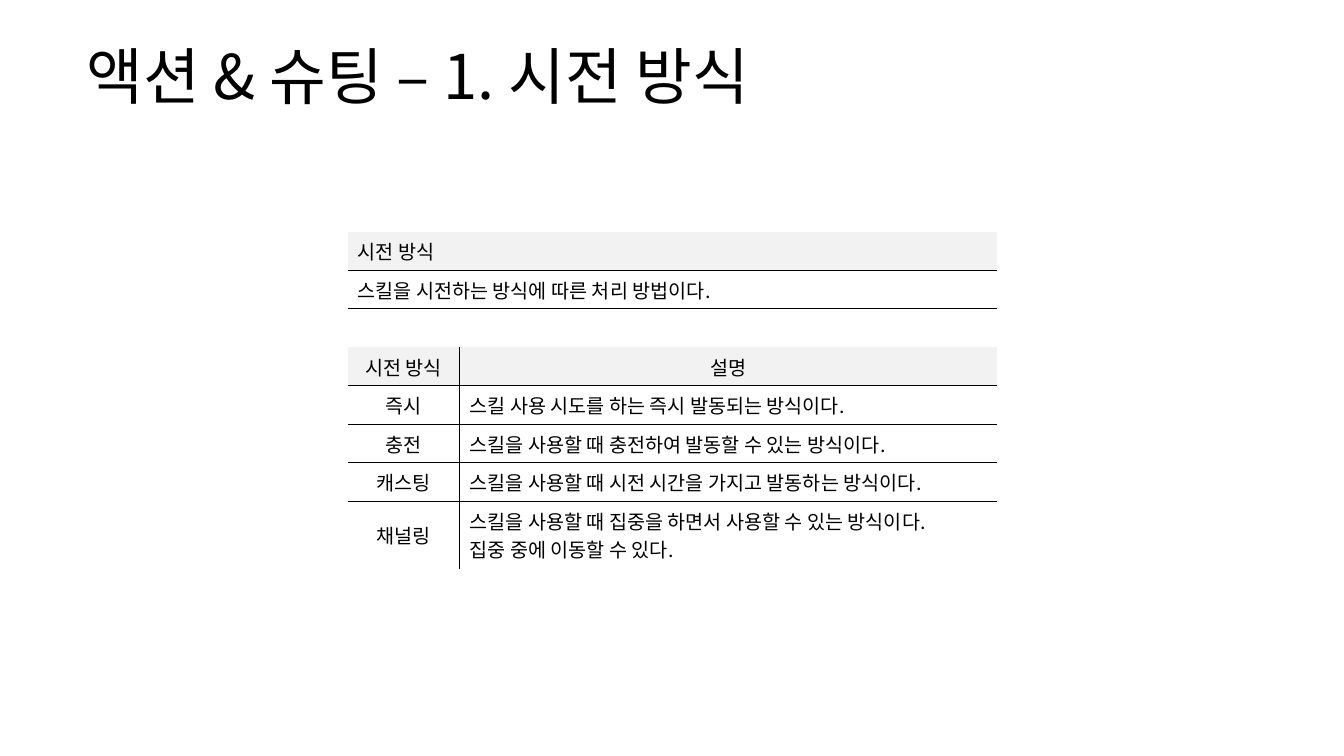
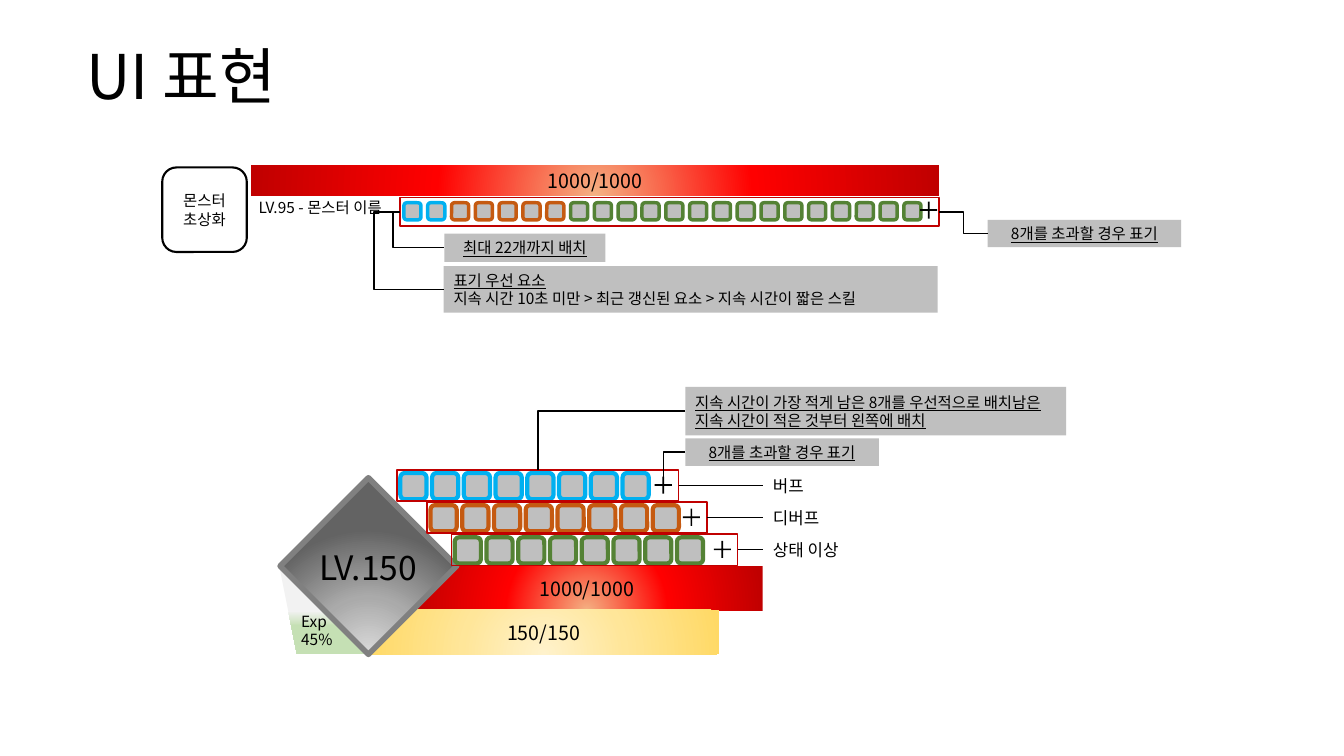
import dataclasses

import lxml.etree
import pptx
import pptx.dml.color
import pptx.enum.dml
import pptx.enum.shapes
import pptx.enum.text
import pptx.oxml
import pptx.oxml.ns
import pptx.util

Cm = pptx.util.Cm
Pt = pptx.util.Pt
qn = pptx.oxml.ns.qn
SHAPE = pptx.enum.shapes.MSO_SHAPE
CONNECTOR = pptx.enum.shapes.MSO_CONNECTOR
ALIGN = pptx.enum.text.PP_ALIGN
MIDDLE = pptx.enum.text.MSO_ANCHOR.MIDDLE


@dataclasses.dataclass(frozen=True)
class Theme:
    """Colours, gradients and type sizes shared by the slides."""

    font: str = "Noto Sans CJK KR"
    ink: str = "000000"
    header: str = "F2F2F2"
    grey: str = "BFBFBF"
    edge: str = "808080"
    frame: str = "C00000"
    buff: str = "00B0F0"
    debuff: str = "C55A11"
    ailment: str = "548235"
    health: tuple = ((0, "F4B183"), (46, "FF0000"), (100, "C00000"))
    mana: tuple = ((0, "FFF2CC"), (46, "FFE699"), (100, "FFD966"))
    level: tuple = ((0, "DBDBDB"), (46, "AAAAAA"), (100, "636363"))
    experience: tuple = ((51, "F2F2F2"), (68, "C5E0B4"))
    title_size: int = 44
    level_size: int = 24
    body_size: int = 14
    label_size: int = 12
    note_size: int = 11


THEME = Theme()
GLOW = '<a:path path="circle"><a:fillToRect l="50000" t="130000" r="50000" b="-30000"/></a:path>'
DOWNWARD = '<a:lin ang="5400000" scaled="0"/>'
NO_TABLE_STYLE = "{2D5ABB26-0587-4C30-8999-92F81FD0307C}"


def rgb(color):
    """Turn a hex string into a colour."""
    return pptx.dml.color.RGBColor.from_string(color)


def write(frame, text, size, align=ALIGN.LEFT, underlined=0):
    """Fill a text frame line by line, underlining the first few lines."""
    frame.word_wrap = True
    frame.vertical_anchor = MIDDLE
    frame.text = text
    for index, paragraph in enumerate(frame.paragraphs):
        style_paragraph(paragraph, size, align, index < underlined)


def style_paragraph(paragraph, size, align, underline=False):
    """Set alignment and font of one paragraph."""
    paragraph.alignment = align
    font = paragraph.font
    font.size = Pt(size)
    font.color.rgb = rgb(THEME.ink)
    font.name = THEME.font
    if underline:
        font.underline = True
    properties = paragraph._p.pPr.find(qn("a:defRPr"))
    lxml.etree.SubElement(properties, qn("a:ea"), typeface=THEME.font)


def fill_gradient(shape, stops, direction):
    """Give a shape a gradient fill."""
    marks = "".join(
        f'<a:gs pos="{position * 1000}"><a:srgbClr val="{color}"/></a:gs>' for position, color in stops
    )
    gradient = pptx.oxml.parse_xml(
        f'<a:gradFill {pptx.oxml.ns.nsdecls("a")} rotWithShape="1"><a:gsLst>{marks}</a:gsLst>{direction}</a:gradFill>'
    )
    shape.fill.background()
    properties = shape.element.spPr
    properties.replace(properties.find(qn("a:noFill")), gradient)


@dataclasses.dataclass
class Region:
    """A group of shapes placed in centimetres from its own corner."""

    shapes: object
    left: float
    top: float

    def point(self, x, y):
        """Return slide lengths for a point in the region."""
        return Cm(self.left + x), Cm(self.top + y)

    def shape(self, kind, box, fill=None, line=None, weight=1, direction=GLOW):
        """Add a preset shape with a plain or gradient fill."""
        x, y, width, height = box
        shape = self.shapes.add_shape(kind, *self.point(x, y), Cm(width), Cm(height))
        shape.shadow.inherit = False
        if fill is None:
            shape.fill.background()
        elif isinstance(fill, str):
            shape.fill.solid()
            shape.fill.fore_color.rgb = rgb(fill)
        else:
            fill_gradient(shape, fill, direction)
        if line:
            shape.line.color.rgb = rgb(line)
            shape.line.width = Pt(weight)
        else:
            shape.line.fill.background()
        return shape

    def text(self, box, text, size, align=ALIGN.LEFT):
        """Add a text box."""
        x, y, width, height = box
        label = self.shapes.add_textbox(*self.point(x, y), Cm(width), Cm(height))
        write(label.text_frame, text, size, align)
        return label

    def bar(self, box, stops, text):
        """Add a gauge bar with its value."""
        bar = self.shape(SHAPE.RECTANGLE, box, stops)
        write(bar.text_frame, text, THEME.body_size, ALIGN.CENTER)

    def callout(self, box, text, align=ALIGN.CENTER):
        """Add a grey note whose first line is underlined."""
        note = self.shape(SHAPE.RECTANGLE, box, THEME.grey)
        write(note.text_frame, text, THEME.note_size, align, underlined=1)

    def icons(self, x, y, size, pitch, colors, weight):
        """Add a row of equally spaced icons."""
        for index, color in enumerate(colors):
            box = (x + index * pitch, y, size, size)
            self.shape(SHAPE.ROUNDED_RECTANGLE, box, THEME.grey, color, weight)

    def plus(self, x, y):
        """Add the thin overflow sign."""
        sign = self.shape(SHAPE.CROSS, (x, y, 0.43, 0.43), THEME.ink)
        sign.adjustments[0] = 0.45

    def frame(self, box):
        """Add a red outline around an icon row."""
        return self.shape(SHAPE.RECTANGLE, box, line=THEME.frame, weight=1.25)

    def connector(self, kind, start, end, weight):
        """Add a black connector without a shadow."""
        connector = self.shapes.add_connector(kind, *self.point(*start), *self.point(*end))
        connector.line.color.rgb = rgb(THEME.ink)
        connector.line.width = Pt(weight)
        lxml.etree.SubElement(connector.element.spPr, qn("a:effectLst"))
        return connector

    def elbow(self, start, end, bend=None):
        """Add an elbow with one corner, or two corners at the given bend."""
        connector = self.connector(CONNECTOR.ELBOW, start, end, 1)
        geometry = connector.element.spPr.find(qn("a:prstGeom"))
        if bend is None:
            geometry.set("prst", "bentConnector2")
            return
        guides = geometry.find(qn("a:avLst"))
        if guides is None:
            guides = lxml.etree.SubElement(geometry, qn("a:avLst"))
        lxml.etree.SubElement(guides, qn("a:gd"), name="adj1", fmla=f"val {round(bend * 100000)}")


def add_titled_slide(presentation, title):
    """Add a blank slide with the shared title."""
    slide = presentation.slides.add_slide(presentation.slide_layouts[6])
    label = Region(slide.shapes, 1.93, 0.81).text((0, 0, 30, 2.39), title, THEME.title_size)
    label.text_frame.paragraphs[0].line_spacing = 0.9
    return slide


def border_cell(cell, sides):
    """Draw thin black borders on the given sides of a cell."""
    properties = cell._tc.get_or_add_tcPr()
    for index, side in enumerate(side for side in "LRTB" if side in sides):
        line = pptx.oxml.parse_xml(
            f'<a:ln{side} {pptx.oxml.ns.nsdecls("a")} w="12700"><a:solidFill>'
            f'<a:srgbClr val="{THEME.ink}"/></a:solidFill></a:ln{side}>'
        )
        properties.insert(index, line)


def build_method_table(slide, left, top):
    """Place the table of casting methods."""
    rows = [
        ("시전 방식", ""),
        ("스킬을 시전하는 방식에 따른 처리 방법이다.", ""),
        ("", ""),
        ("시전 방식", "설명"),
        ("즉시", "스킬 사용 시도를 하는 즉시 발동되는 방식이다."),
        ("충전", "스킬을 사용할 때 충전하여 발동할 수 있는 방식이다."),
        ("캐스팅", "스킬을 사용할 때 시전 시간을 가지고 발동하는 방식이다."),
        ("채널링", "스킬을 사용할 때 집중을 하면서 사용할 수 있는 방식이다.\n집중 중에 이동할 수 있다."),
    ]
    list_start = 3
    headers = (0, list_start)
    ruled = (0, 3, 4, 5, 6)
    widths = (2.82, 13.54)
    heights = [0.97] * 7 + [1.7]
    graphic = slide.shapes.add_table(
        len(rows), 2, Cm(left), Cm(top), Cm(sum(widths)), Cm(sum(heights))
    )
    table = graphic.table
    table.first_row = table.horz_banding = False
    table._tbl.tblPr.find(qn("a:tableStyleId")).text = NO_TABLE_STYLE
    for column, width in zip(table.columns, widths):
        column.width = Cm(width)
    for row_index, texts in enumerate(rows):
        table.rows[row_index].height = Cm(heights[row_index])
        for column_index, text in enumerate(texts):
            cell = table.cell(row_index, column_index)
            in_list = row_index >= list_start
            centered = in_list and (column_index == 0 or row_index == list_start)
            cell.text = text
            cell.vertical_anchor = MIDDLE
            for paragraph in cell.text_frame.paragraphs:
                style_paragraph(paragraph, THEME.body_size, ALIGN.CENTER if centered else ALIGN.LEFT)
            if not text:
                cell.margin_top = cell.margin_bottom = 0
            if row_index in headers:
                cell.fill.solid()
                cell.fill.fore_color.rgb = rgb(THEME.header)
            else:
                cell.fill.background()
            sides = "RL"[column_index] if in_list else ""
            sides += "T" if row_index - 1 in ruled else ""
            sides += "B" if row_index in ruled else ""
            border_cell(cell, sides)
    for row_index in range(list_start):
        table.cell(row_index, 0).merge(table.cell(row_index, 1))


def build_monster_panel(slide, left, top):
    """Place the monster gauge with its icon row and notes."""
    panel = Region(slide.shapes.add_group_shape().shapes, left, top)
    portrait = panel.shape(SHAPE.ROUNDED_RECTANGLE, (0, 0.05, 2.13, 2.13), line=THEME.ink, weight=1.5)
    write(portrait.text_frame, "몬스터\n초상화", THEME.note_size, ALIGN.CENTER)
    panel.bar((2.23, 0, 17.35, 0.76), THEME.health, "1000/1000")
    panel.text((2.18, 0.68, 4.06, 0.74), "LV.95 - 몬스터 이름", THEME.note_size)
    colors = [THEME.buff] * 2 + [THEME.debuff] * 5 + [THEME.ailment] * 15
    panel.icons(6.09, 0.94, 0.43, 0.6, colors, 2.5)
    panel.plus(19.1, 0.91)
    panel.frame((5.99, 0.81, 13.59, 0.71))
    panel.callout((7.11, 1.72, 4.06, 0.71), "최대 22개까지 배치")
    panel.callout((20.8, 1.37, 4.88, 0.69), "8개를 초과할 경우 표기")
    priority = "표기 우선 요소\n지속 시간 10초 미만 > 최근 갱신된 요소 > 지속 시간이 짧은 스킬"
    panel.callout((7.09, 2.54, 12.45, 1.17), priority, ALIGN.LEFT)
    panel.elbow((19.58, 1.17), (20.8, 1.72), 0.5)
    panel.elbow((5.99, 1.17), (7.11, 2.07), -0.16)
    panel.elbow((5.99, 1.17), (7.09, 3.12), -0.59)


def build_player_panel(slide, left, top):
    """Place the player gauges with three icon rows and notes."""
    panel = Region(slide.shapes.add_group_shape().shapes, left, top)
    panel.bar((3.32, 4.52, 8.86, 1.12), THEME.health, "1000/1000")
    panel.bar((2.23, 5.62, 8.86, 1.12), THEME.mana, "150/150")
    experience = panel.shape(
        SHAPE.FLOWCHART_DATA, (0, 4.52, 2.21, 2.21), THEME.experience, direction=DOWNWARD
    )
    experience.element.spPr.find(qn("a:xfrm")).set("flipH", "1")
    panel.shape(SHAPE.DIAMOND, (0.02, 2.29, 4.45, 4.45), THEME.level, THEME.edge, 4)
    panel.text((0.71, 3.96, 3.07, 1.14), "LV.150", THEME.level_size, ALIGN.CENTER)
    panel.text((0.3, 5.54, 1.5, 1.19), "Exp\n45%", THEME.note_size)
    effects = [
        ("버프", THEME.buff, 2.97, 7.09),
        ("디버프", THEME.debuff, 3.73, 7.04),
        ("상태 이상", THEME.ailment, 4.34, 7.21),
    ]
    for index, (name, color, x, width) in enumerate(effects):
        y = 2.09 + index * 0.81
        panel.icons(x + 0.08, y + 0.08, 0.66, 0.8, [color] * 8, 3)
        frame = panel.frame((x, y, width, 0.79))
        panel.plus(x + width - 0.6, y + 0.17)
        label = panel.text((12.19, y, 2.44, 0.79), name, THEME.label_size)
        line = panel.connector(CONNECTOR.STRAIGHT, (x + width, y + 0.4), (12.19, y + 0.4), 0.75)
        line.begin_connect(frame, 3)
        line.end_connect(label, 1)
    order = "지속 시간이 가장 적게 남은 8개를 우선적으로 배치남은 지속 시간이 적은 것부터 왼쪽에 배치"
    panel.callout((10.23, 0, 9.6, 1.22), order, ALIGN.LEFT)
    panel.callout((10.23, 1.3, 4.88, 0.69), "8개를 초과할 경우 표기")
    panel.elbow((10.23, 0.61), (6.52, 2.09))
    panel.elbow((10.23, 1.64), (9.68, 2.26))


def main():
    """Build and save the presentation."""
    presentation = pptx.Presentation()
    presentation.slide_width = Cm(33.87)
    presentation.slide_height = Cm(19.05)
    methods = add_titled_slide(presentation, "액션 & 슈팅 – 1. 시전 방식")
    build_method_table(methods, 8.76, 5.84)
    interface = add_titled_slide(presentation, "UI 표현")
    build_player_panel(interface, 7.04, 9.75)
    build_monster_panel(interface, 4.09, 4.17)
    presentation.save("out.pptx")


if __name__ == "__main__":
    main()
